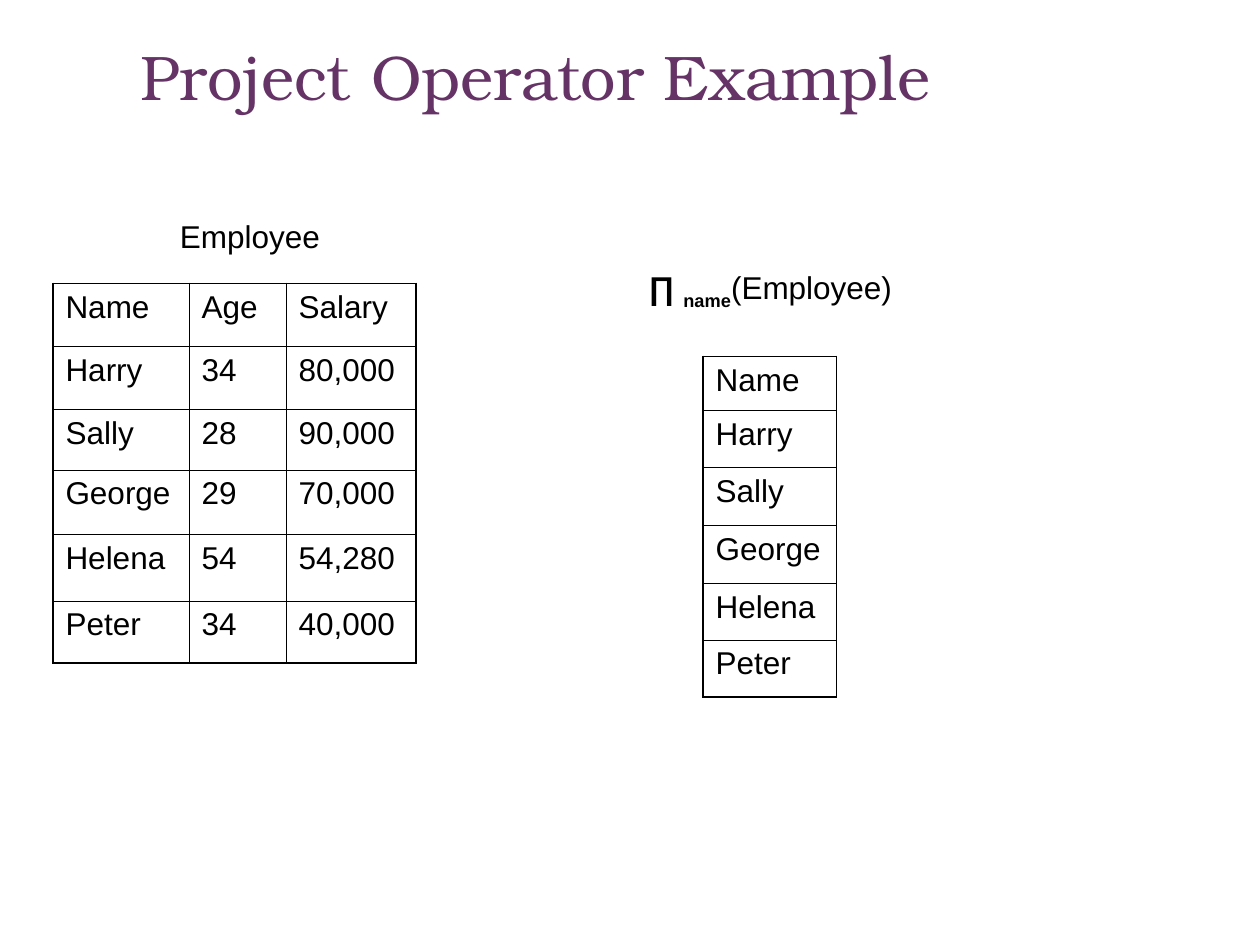
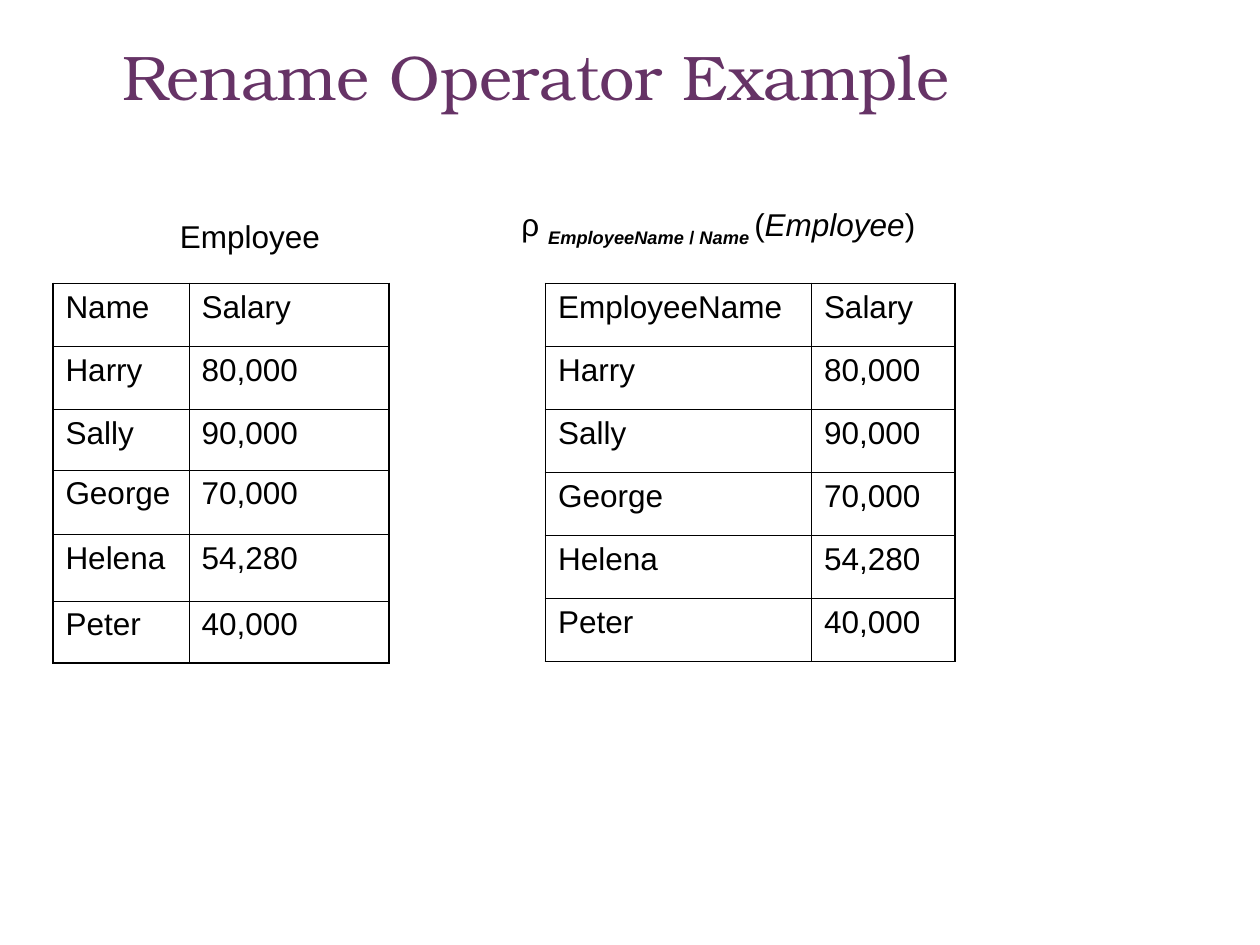
from lxml import etree
from pptx import Presentation
from pptx.dml.color import RGBColor
from pptx.enum import text as t
from pptx.oxml import ns
from pptx.util import Inches, Pt

BLACK, PLUM = "000000", "663366"
BODY, HEAD = "Arial", "TeX Gyre Bonum"
THIN, THICK = 0.45, 1.08
NAMES = ["Harry", "Sally", "George", "Helena", "Peter"]
AGES = ["34", "28", "29", "54", "34"]
PAY = ["80,000", "90,000", "70,000", "54,280", "40,000"]
STAFF_ROWS = [0.5, 0.5, 0.48, 0.51, 0.53, 0.49]


def color(code):
    return RGBColor.from_string(code)


def style(run, size=18, face=BODY, code=BLACK, bold=False, slant=False, sub=False):
    font = run.font
    font.size, font.name = Pt(size), face
    font.color.rgb = color(code)
    font.bold, font.italic = bold, slant
    if sub:
        run._r.get_or_add_rPr().set("baseline", "-25000")


def add_title(slide, words):
    box = slide.shapes.add_textbox(*map(Inches, (0.24, 0.25, 8.18, 1.25)))
    frame = box.text_frame
    frame.word_wrap = True
    frame.vertical_anchor = t.MSO_ANCHOR.TOP
    frame.text = words
    line = frame.paragraphs[0]
    line.alignment = t.PP_ALIGN.CENTER
    style(line.runs[0], 36, HEAD, PLUM)


def add_label(slide, place, parts):
    frame = slide.shapes.add_textbox(*map(Inches, place)).text_frame
    frame.word_wrap = False
    frame.auto_size = t.MSO_AUTO_SIZE.SHAPE_TO_FIT_TEXT
    for words, look in parts:
        run = frame.paragraphs[0].add_run()
        run.text = words
        style(run, **look)


def add_edges(cell, outer):
    props = cell._tc.get_or_add_tcPr()
    for spot, side in enumerate("LRTB"):
        width = THICK if side in outer else THIN
        line = etree.Element(ns.qn(f"a:ln{side}"), w=str(Pt(width)))
        fill = etree.SubElement(line, ns.qn("a:solidFill"))
        etree.SubElement(fill, ns.qn("a:srgbClr"), val=BLACK)
        props.insert(spot, line)


def add_grid(slide, left, top, widths, heights, heads, *fields):
    rows = [heads, *zip(*fields)]
    size = map(Inches, (left, top, sum(widths), sum(heights)))
    table = slide.shapes.add_table(len(rows), len(heads), *size).table
    table.first_row = table.horz_banding = False
    for col, width in zip(table.columns, widths):
        col.width = Inches(width)
    for row, height in zip(table.rows, heights):
        row.height = Inches(height)
    for r, row in enumerate(rows):
        for c, words in enumerate(row):
            cell = table.cell(r, c)
            cell.text_frame.text = words
            style(cell.text_frame.paragraphs[0].runs[0])
            cell.fill.background()
            tests = {"L": c == 0, "R": c == len(heads) - 1,
                     "T": r == 0, "B": r == len(rows) - 1}
            add_edges(cell, [side for side, hit in tests.items() if hit])


def add_staff(slide, widths, heads, *fields):
    add_grid(slide, 0.42, 2.25, widths, STAFF_ROWS, heads, *fields)
    add_label(slide, (1.33, 1.67, 1.31, 0.4), [("Employee", {})])


def add_slide(deck, words):
    slide = deck.slides.add_slide(deck.slide_layouts[6])
    add_title(slide, words)
    return slide


def add_project(deck):
    slide = add_slide(deck, "Project Operator Example ")
    add_staff(slide, [1.08, 0.77, 1.03], ["Name", "Age", "Salary"], NAMES, AGES, PAY)
    add_grid(slide, 5.58, 2.83, [1.06], [0.43, 0.45, 0.46, 0.46, 0.45, 0.45],
             ["Name"], NAMES)
    add_label(slide, (5.05, 2.08, 2.13, 0.44), [
        ("∏ ", {"bold": True}),
        ("name", {"bold": True, "sub": True}),
        ("(Employee)", {}),
    ])


def add_rename(deck):
    slide = add_slide(deck, "Rename Operator Example ")
    add_staff(slide, [1.08, 1.59], ["Name", "Salary"], NAMES, PAY)
    add_grid(slide, 4.33, 2.25, [2.11, 1.14], [0.5] * 6,
             ["EmployeeName", "Salary"], NAMES, PAY)
    low = {"bold": True, "sub": True}
    add_label(slide, (4.04, 1.58, 3.42, 0.44), [
        ("ρ ", {}),
        ("EmployeeName", {**low, "slant": True}),
        (" / ", low),
        ("Name ", {**low, "slant": True}),
        ("(", {}),
        ("Employee", {"slant": True}),
        (")", {}),
    ])


def main():
    deck = Presentation()
    deck.slide_width, deck.slide_height = Inches(10), Inches(7.5)
    add_project(deck)
    add_rename(deck)
    deck.save("out.pptx")


if __name__ == "__main__":
    main()
